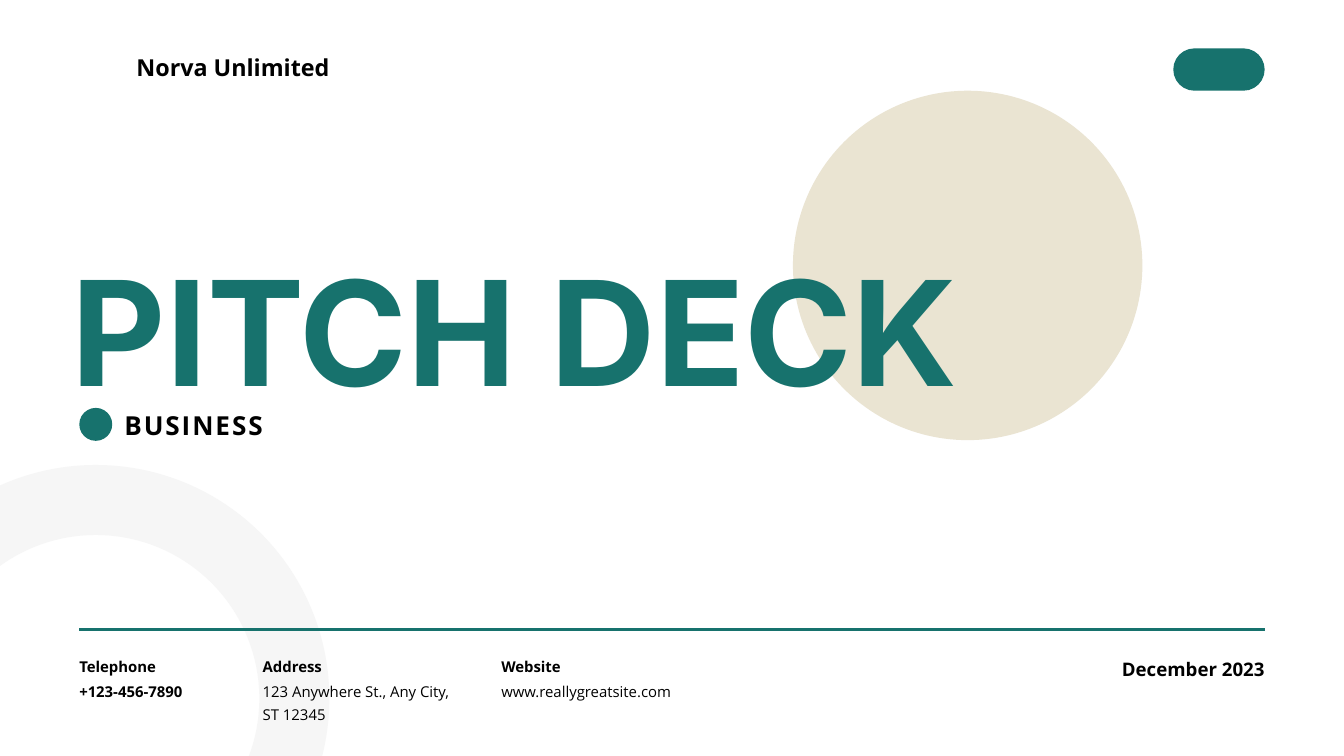
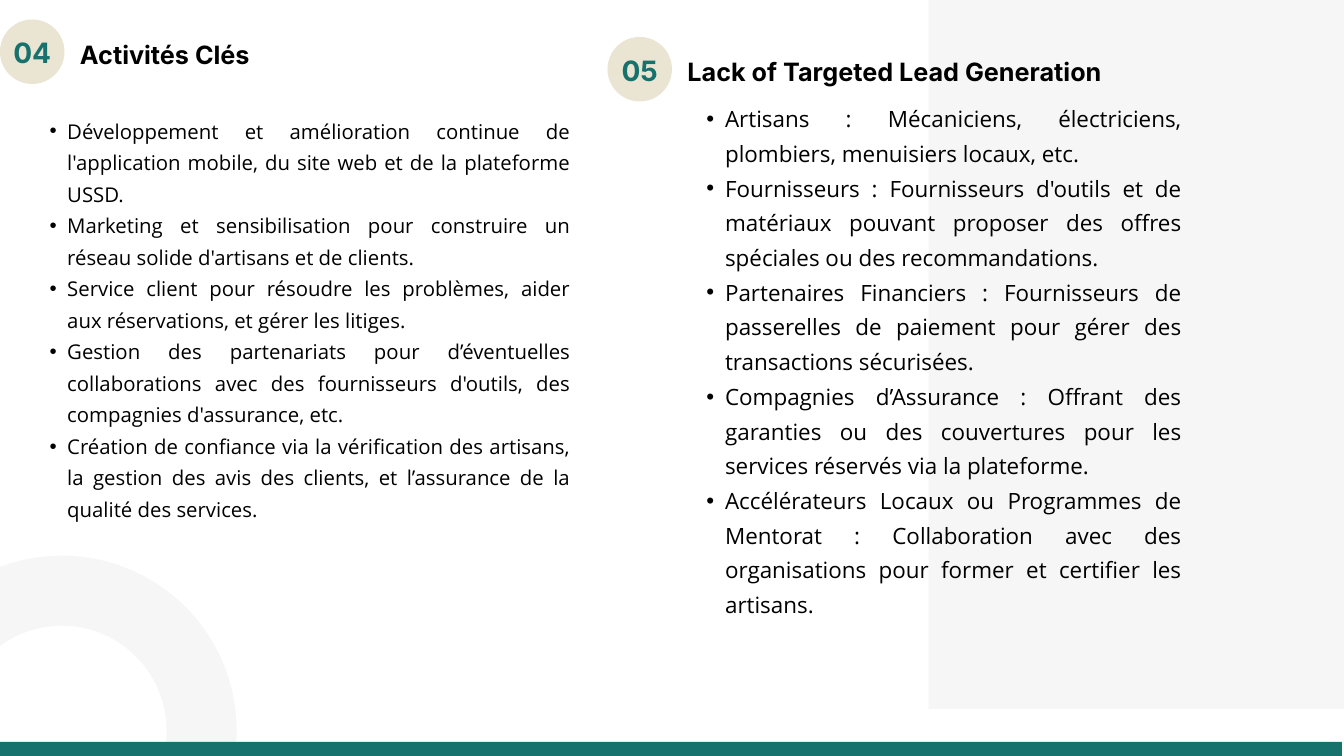
"""Build a two-slide pitch deck: a cover and a page of two numbered sections."""
import dataclasses

import lxml.etree
import pptx
import pptx.dml.color
import pptx.enum.shapes
import pptx.enum.text
import pptx.oxml.ns
import pptx.util

Inches = pptx.util.Inches
Shape = pptx.enum.shapes.MSO_SHAPE
Align = pptx.enum.text.PP_ALIGN
Anchor = pptx.enum.text.MSO_ANCHOR


@dataclasses.dataclass(frozen=True)
class Style:
    """Hold the look of one kind of text; sizes and leading are in points."""
    font: str
    size: float
    leading: float
    color: str = "000000"
    bold: bool = True
    align: Align = Align.LEFT
    spacing: float = 0


@dataclasses.dataclass(frozen=True)
class Theme:
    """Keep the colours, text styles and line widths of the deck."""
    green: str = "17726D"
    sand: str = "EAE4D2"
    mist: str = "F6F6F6"
    ring_width: float = 75
    rule_width: float = 3
    cover: Style = Style("Inter", 156.2, 218.7, green)
    tagline: Style = Style("Open Sans", 28, 39.2, spacing=2.1)
    company: Style = Style("Open Sans", 25, 35)
    date: Style = Style("Open Sans", 20, 31, align=Align.RIGHT)
    label: Style = Style("Open Sans", 16, 24.8, align=Align.JUSTIFY)
    detail: Style = Style("Open Sans", 16, 24.8, bold=False, align=Align.JUSTIFY)
    number: Style = Style("Inter", 30, 42, green, align=Align.CENTER)
    heading: Style = Style("Inter", 27, 37.8)
    compact_list: Style = Style("Open Sans", 21.8, 33.8, bold=False, align=Align.JUSTIFY)
    large_list: Style = Style("Open Sans", 24, 37.2, bold=False, align=Align.JUSTIFY)


THEME = Theme()


@dataclasses.dataclass(frozen=True)
class Box:
    """Describe a rectangle in inches."""
    left: float
    top: float
    width: float
    height: float

    def inside(self, left, top, width, height):
        """Return a box placed relative to this one."""
        return Box(self.left + left, self.top + top, width, height)

    def lengths(self):
        """Return left, top, width and height as slide lengths."""
        return [Inches(value) for value in dataclasses.astuple(self)]


@dataclasses.dataclass(frozen=True)
class Section:
    """Describe a numbered section and where its list sits in it."""
    number: str
    heading: str
    items: tuple
    list_style: Style
    list_box: Box
    hanging: float


PAGE = Box(0, 0, 20, 11.25)

CONTACTS = (
    (0, 2.2, "Telephone", "+123-456-7890", THEME.label),
    (2.73, 2.98, "Address", "123 Anywhere St., Any City,\nST 12345", THEME.detail),
    (6.28, 3.14, "Website", "www.reallygreatsite.com", THEME.detail),
)

ACTIVITIES = Section(
    "04",
    "Activités Clés",
    (
        "Développement et amélioration continue de l'application mobile, du site web et de la plateforme USSD.",
        "Marketing et sensibilisation pour construire un réseau solide d'artisans et de clients.",
        "Service client pour résoudre les problèmes, aider aux réservations, et gérer les litiges.",
        "Gestion des partenariats pour d’éventuelles collaborations avec des fournisseurs d'outils, "
        "des compagnies d'assurance, etc.",
        "Création de confiance via la vérification des artisans, la gestion des avis des clients, "
        "et l’assurance de la qualité des services.",
    ),
    THEME.compact_list,
    Box(0.48, 1.37, 8.01, 6.46),
    0.26,
)

PARTNERS = Section(
    "05",
    "Lack of Targeted Lead Generation",
    (
        "Artisans : Mécaniciens, électriciens, plombiers, menuisiers locaux, etc.",
        "Fournisseurs : Fournisseurs d'outils et de matériaux pouvant proposer des offres spéciales "
        "ou des recommandations.",
        "Partenaires Financiers : Fournisseurs de passerelles de paiement pour gérer des transactions sécurisées.",
        "Compagnies d’Assurance : Offrant des garanties ou des couvertures pour les services réservés "
        "via la plateforme.",
        "Accélérateurs Locaux ou Programmes de Mentorat : Collaboration avec des organisations "
        "pour former et certifier les artisans.",
    ),
    THEME.large_list,
    Box(1.19, 0.9, 7.35, 8.11),
    0.28,
)


def rgb(color):
    """Turn a hex string into a colour."""
    return pptx.dml.color.RGBColor.from_string(color)


def write(shape, text, style, anchor=Anchor.TOP):
    """Put styled text into a shape without insets."""
    frame = shape.text_frame
    frame.text = text
    frame.word_wrap = True
    frame.auto_size = pptx.enum.text.MSO_AUTO_SIZE.NONE
    frame.vertical_anchor = anchor
    frame.margin_left = frame.margin_top = frame.margin_right = frame.margin_bottom = 0
    for para in frame.paragraphs:
        para.alignment = style.align
        para.line_spacing = pptx.util.Pt(style.leading)
        para.space_before = para.space_after = pptx.util.Pt(0)
        for span in para.runs:
            span.font.name = style.font
            span.font.size = pptx.util.Pt(style.size)
            span.font.bold = style.bold
            span.font.color.rgb = rgb(style.color)
            if style.spacing:
                span._r.get_or_add_rPr().set("spc", str(round(style.spacing * 100)))


def add_text(page, box, text, style):
    """Add a text box."""
    write(page.shapes.add_textbox(*box.lengths()), text, style)


def fill_placeholder(placeholder, box, text, style):
    """Move a placeholder in front of the decoration and write in it."""
    placeholder.left, placeholder.top, placeholder.width, placeholder.height = box.lengths()
    placeholder.element.getparent().append(placeholder.element)
    write(placeholder, text, style)


def add_bullets(frame, hanging):
    """Give every paragraph a round bullet and a hanging indent."""
    for para in frame.paragraphs:
        properties = para._p.get_or_add_pPr()
        properties.set("marL", str(Inches(2 * hanging)))
        properties.set("indent", str(Inches(-hanging)))
        for tag, name, value in (("a:buFont", "typeface", "Arial"), ("a:buChar", "char", "•")):
            bullet = lxml.etree.SubElement(properties, pptx.oxml.ns.qn(tag))
            bullet.set(name, value)


def add_solid(page, kind, box, color):
    """Add a plain filled shape."""
    shape = page.shapes.add_shape(kind, *box.lengths())
    shape.shadow.inherit = False
    shape.fill.solid()
    shape.fill.fore_color.rgb = rgb(color)
    shape.line.fill.background()
    return shape


def add_ring(page, box):
    """Add the wide pale ring that decorates a lower corner."""
    ring = add_solid(page, Shape.OVAL, box, THEME.mist)
    ring.fill.background()
    ring.line.color.rgb = rgb(THEME.mist)
    ring.line.width = pptx.util.Pt(THEME.ring_width)


def add_rule(page, box):
    """Add a horizontal line along the top of a box."""
    left, top, width, _ = box.lengths()
    rule = page.shapes.add_connector(
        pptx.enum.shapes.MSO_CONNECTOR.STRAIGHT, left, top, left + width, top)
    rule.line.color.rgb = rgb(THEME.green)
    rule.line.width = pptx.util.Pt(THEME.rule_width)
    lxml.etree.SubElement(rule.element.spPr, pptx.oxml.ns.qn("a:effectLst"))


def draw_header(page, box):
    """Draw the company name and the pill at the two ends of a box."""
    add_text(page, box.inside(0.85, 0, 3.49, 0.46), "Norva Unlimited", THEME.company)
    pill = add_solid(page, Shape.ROUNDED_RECTANGLE,
                     box.inside(box.width - 1.36, 0, 1.36, box.height), THEME.green)
    pill.adjustments[0] = 0.5


def draw_cover_title(page, box):
    """Draw the large title over its sun, with the tagline below."""
    add_solid(page, Shape.OVAL, box.inside(10.73, -1.8, 5.2, 5.2), THEME.sand)
    add_solid(page, Shape.OVAL, box.inside(0.11, 2.92, 0.49, 0.49), THEME.green)
    fill_placeholder(page.shapes.title, box, "PITCH DECK", THEME.cover)
    add_text(page, box.inside(0.78, 2.87, 8.82, 0.53), "BUSINESS", THEME.tagline)


def draw_contacts(page, box):
    """Draw the ruled footer with contact columns and the date."""
    add_rule(page, box)
    for left, width, label, detail, style in CONTACTS:
        add_text(page, box.inside(left, 0.34, width, 0.32), label, THEME.label)
        add_text(page, box.inside(left, 0.71, width, 0.66), detail, style)
    add_text(page, box.inside(box.width - 3.14, 0.32, 3.14, 0.4), "December 2023", THEME.date)


def draw_section(page, box, section, heading, body):
    """Draw a numbered badge, its heading and its bulleted list."""
    badge = add_solid(page, Shape.OVAL, box.inside(0, 0, 0.96, 0.96), THEME.sand)
    write(badge, section.number, THEME.number, Anchor.MIDDLE)
    badge.text_frame.margin_bottom = Inches(0.06)
    fill_placeholder(heading, box.inside(1.19, 0.22, 7.35, 0.5), section.heading, THEME.heading)
    list_box = box.inside(*dataclasses.astuple(section.list_box))
    fill_placeholder(body, list_box, "\n".join(section.items), section.list_style)
    add_bullets(body.text_frame, section.hanging)


def build_cover(deck):
    """Build the cover."""
    page = deck.slides.add_slide(deck.slide_layouts.get_by_name("Title Only"))
    add_ring(page, PAGE.inside(-1.53, 7.44, 5.91, 5.91))
    draw_header(page, PAGE.inside(1.18, 0.72, 17.64, 0.63))
    draw_cover_title(page, PAGE.inside(1.07, 3.15, 15.49, 2.92))
    draw_contacts(page, PAGE.inside(1.18, 9.37, 17.64, 1.37))


def build_sections(deck):
    """Build the page with two numbered sections."""
    page = deck.slides.add_slide(deck.slide_layouts.get_by_name("Comparison"))
    title, spare, left_list, right_heading, right_list = page.placeholders
    spare.element.getparent().remove(spare.element)
    add_ring(page, PAGE.inside(-1.16, 8.79, 4.16, 4.16))
    add_solid(page, Shape.RECTANGLE, PAGE.inside(0, 11.04, 19.97, 0.21), THEME.green)
    add_solid(page, Shape.RECTANGLE, PAGE.inside(13.82, 0, 6.18, 10.55), THEME.mist)
    draw_section(page, PAGE.inside(0, 0.29, 8.49, 7.83), ACTIVITIES, title, left_list)
    draw_section(page, PAGE.inside(9.04, 0.55, 8.54, 9.01), PARTNERS, right_heading, right_list)


def main():
    """Build and save the deck."""
    deck = pptx.Presentation()
    deck.slide_width, deck.slide_height = Inches(PAGE.width), Inches(PAGE.height)
    build_cover(deck)
    build_sections(deck)
    deck.save("out.pptx")


if __name__ == "__main__":
    main()
